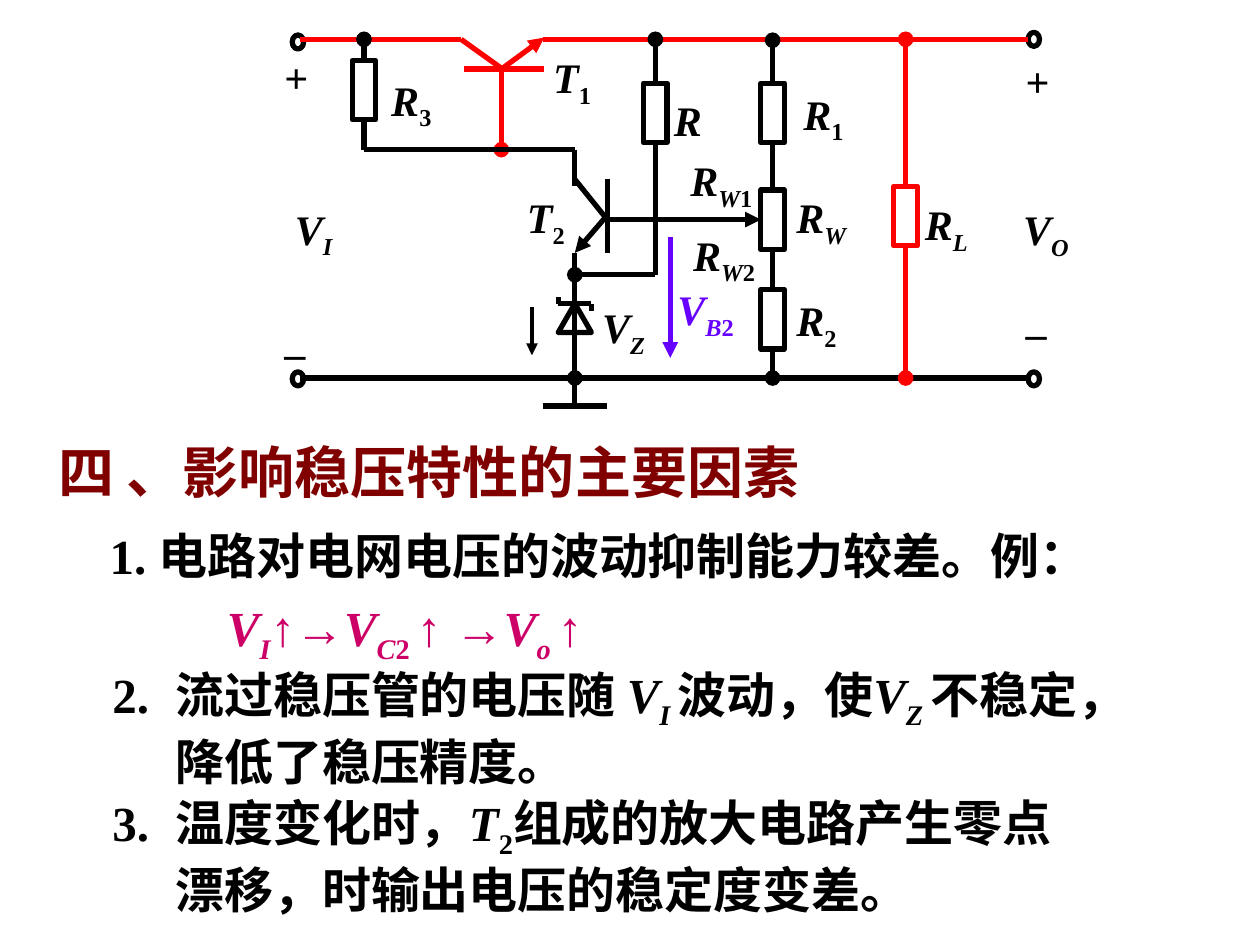
from lxml.etree import SubElement
from pptx import Presentation
from pptx.dml.color import RGBColor
from pptx.enum.shapes import MSO_CONNECTOR, MSO_SHAPE
from pptx.enum.text import MSO_ANCHOR, MSO_AUTO_SIZE, PP_ALIGN
from pptx.oxml.ns import qn
from pptx.util import Pt

BLACK = RGBColor(0x00, 0x00, 0x00)
RED = RGBColor(0xFF, 0x00, 0x00)
MAROON = RGBColor(0x80, 0x00, 0x00)
MAGENTA = RGBColor(0xCC, 0x00, 0x66)
VIOLET = RGBColor(0x66, 0x00, 0xFF)
SERIF, SANS = "Times New Roman", "Arial"

deck = Presentation()
deck.slide_width, deck.slide_height = Pt(720), Pt(540)
page = deck.slides.add_slide(deck.slide_layouts.get_by_name("Comparison"))
ports = {}  # middle of a resistor's side -> (resistor, connection site)


def add_span(para, text, size, font=SERIF, italic=False, sub=False, color=BLACK):
    span = para.add_run()
    span.text = text
    span.font.size, span.font.name = Pt(size), font
    span.font.bold, span.font.italic = True, italic
    span.font.color.rgb = color
    if sub:
        span._r.get_or_add_rPr().set("baseline", "-25000")


def add_wire(start, end, color=BLACK, head=None, tail=None, width=3):
    """Draw a straight wire, joined to a resistor wherever an end is one of its ports."""
    wire = page.shapes.add_connector(MSO_CONNECTOR.STRAIGHT, *map(Pt, start + end))
    if start in ports:
        wire.begin_connect(*ports[start])
    if end in ports:
        wire.end_connect(*ports[end])
    wire.line.color.rgb, wire.line.width = color, Pt(width)
    line = wire.line._get_or_add_ln()
    for tag, kind in (("a:headEnd", head), ("a:tailEnd", tail)):
        if kind:
            SubElement(line, qn(tag), type=kind)
    SubElement(wire._element.spPr, qn("a:effectLst"))


# Heading
title = page.shapes.title
title.left, title.top, title.width, title.height = Pt(26), Pt(246), Pt(664.5), Pt(46)
title.text_frame.auto_size = MSO_AUTO_SIZE.NONE
para = title.text_frame.paragraphs[0]
para.alignment = PP_ALIGN.LEFT
add_span(para, "四 、影响稳压特性的主要因素", 32, SANS, color=MAROON)

# Numbered factors: (placeholder, left, top, width, height, indent, line spacing, spans)
# Kinds of span: n number, t text, v variable, s italic subscript, d upright subscript
factors = [
    (1, 55.5, 290, 597.5, 93.5, 67, 1.2, [
        ("n", "1. "), ("t", "电路对电网电压的波动抑制能力较差。例："),
        ("v", "V", MAGENTA), ("s", "I", MAGENTA), ("t", "↑→", MAGENTA),
        ("v", "V", MAGENTA), ("s", "C", MAGENTA), ("d", "2 ", MAGENTA),
        ("t", "↑ →", MAGENTA), ("v", "V", MAGENTA), ("s", "o ", MAGENTA),
        ("t", "↑", MAGENTA)]),
    (2, 57, 376, 613.5, 79, 36, 1, [
        ("n", "2.\t"), ("t", "流过稳压管的电压随 "), ("v", "V"), ("s", "I "),
        ("t", "波动，使"), ("v", "V"), ("s", "Z "), ("t", "不稳定，降低了稳压精度。")]),
    (3, 57, 449.5, 578, 79, 36, 1, [
        ("n", "3.\t"), ("t", "温度变化时，"), ("v", "T"), ("d", "2"),
        ("t", "组成的放大电路产生零点漂移，时输出电压的稳定度变差。")]),
]
bodies = {body.placeholder_format.idx: body for body in page.placeholders}
for index, left, top, width, height, indent, spacing, spans in factors:
    body = bodies[index]
    body.left, body.top, body.width, body.height = map(Pt, (left, top, width, height))
    frame = body.text_frame
    frame.auto_size, frame.vertical_anchor = MSO_AUTO_SIZE.NONE, MSO_ANCHOR.TOP
    para = frame.paragraphs[0]
    para.line_spacing, para.space_before = spacing, Pt(0)
    layout = para._p.get_or_add_pPr()
    layout.set("marL", str(Pt(indent)))
    layout.set("indent", str(-Pt(indent)))
    SubElement(layout, qn("a:buNone"))
    for kind, text, *color in spans:
        add_span(para, text, 28, SANS if kind == "t" else SERIF, kind in "vs",
                 kind in "sd", *color)
for index, body in bodies.items():
    if index > 3:
        body._element.getparent().remove(body._element)

# Circuit grid
TOP, BOTTOM = 22.5, 216
X_R3, X_T1, X_T2, X_R, X_RW, X_RL = 208, 286.5, 328.5, 374.5, 441.5, 517.5
X_BASE, Y_BASE, Y_T1, Y_COLLECTOR = 347, 125.5, 39.5, 85.5
Y_EMITTER, Y_RETURN, Y_ZENER = 144.5, 157, 173.5
LEFT_END, RIGHT_END = 171.5, 587.5
RES_W, RES_H = 13.5, 34

outlines = [(MSO_SHAPE.ISOSCELES_TRIANGLE, X_T2 - 9.5, Y_ZENER, 19, 16.5, BLACK)]
for x, y in ((167, 20), (167, 212.5), (RIGHT_END, 18.5), (RIGHT_END, 212.5)):
    outlines.append((MSO_SHAPE.OVAL, x, y, 6.5, 8, BLACK))
for x, y, color in ((X_R3, 34.5, BLACK), (X_R, 47.5, BLACK), (X_RW, 47.5, BLACK),
                    (X_RW, 108.5, BLACK), (X_RW, 165.5, BLACK), (X_RL, 106.5, RED)):
    outlines.append((MSO_SHAPE.RECTANGLE, x - RES_W / 2, y, RES_W, RES_H, color))
for kind, left, top, width, height, color in outlines:
    part = page.shapes.add_shape(kind, Pt(left), Pt(top), Pt(width), Pt(height))
    part.shadow.inherit = False
    part.fill.background()
    part.line.color.rgb, part.line.width = color, Pt(3)
    if kind == MSO_SHAPE.RECTANGLE:
        ports[left + width / 2, top] = part, 0
        ports[left, top + height / 2] = part, 1
        ports[left + width / 2, top + height] = part, 2

# Rails and ground
add_wire((263.5, TOP), (LEFT_END, TOP), RED)
add_wire((310.5, TOP), (RIGHT_END, TOP), RED)
add_wire((LEFT_END, BOTTOM), (RIGHT_END, BOTTOM))
add_wire((X_T2, BOTTOM), (X_T2, 231), head="oval")
add_wire((310.5, 232), (X_BASE, 232))

# Transistor T1
add_wire((263.5, TOP), (X_T1, 39), RED)
add_wire((X_T1, Y_T1), (311, 21.5), RED, tail="triangle")
add_wire((265, Y_T1), (311, Y_T1), RED)
add_wire((X_T1, 39), (X_T1, Y_COLLECTOR), RED, tail="oval")

# Transistor T2
add_wire((X_T2, 102.5), (X_BASE, Y_BASE))
add_wire((X_BASE, 123), (X_T2, Y_EMITTER), tail="triangle")
add_wire((X_BASE, 102.5), (X_BASE, Y_EMITTER))
add_wire((X_BASE, Y_BASE), (X_RW - RES_W / 2, Y_BASE), tail="triangle")

# Resistor branches
add_wire((X_R3, TOP), (X_R3, 34.5), head="oval")
add_wire((X_R3, 68.5), (X_R3, Y_COLLECTOR))
add_wire((X_R3, Y_COLLECTOR), (X_T2, Y_COLLECTOR))
add_wire((X_T2, Y_COLLECTOR), (X_T2, 106.5))
add_wire((X_R, TOP), (X_R, 47.5), head="oval")
add_wire((X_R, Y_RETURN), (X_R, 81.5))
add_wire((X_T2, Y_RETURN), (X_R, Y_RETURN), head="oval")
add_wire((X_RW, 23), (X_RW, 47.5), head="oval")
add_wire((X_RW, 81.5), (X_RW, 108.5))
add_wire((X_RW, 142.5), (X_RW, 165.5))
add_wire((X_RW, 199.5), (X_RW, BOTTOM), tail="oval")
add_wire((X_RL, TOP), (X_RL, 106.5), RED, head="oval")
add_wire((X_RL, 140.5), (X_RL, BOTTOM), RED, tail="oval")

# Zener diode and voltage arrows
add_wire((X_T2, Y_EMITTER), (X_T2, BOTTOM))
add_wire((X_T2 - 9.5, Y_ZENER), (X_T2 + 9.5, Y_ZENER))
add_wire((X_T2 - 9.5, Y_ZENER), (X_T2 - 9.5, 170))
add_wire((X_T2 + 9.5, Y_ZENER), (X_T2 + 9.5, 178))
add_wire((304, 175.5), (304, 203), tail="triangle", width=2.25)
add_wire((383, 135.5), (383, 204.5), VIOLET, tail="triangle")

# Labels: left, top, width, symbol, italic subscript, upright subscript
labels = [
    (216.5, 39, 47.5, "R", "", "3"), (309, 26, 49.5, "T", "", "1"),
    (294, 106, 39, "T", "", "2"), (337, 169, 50.5, "V", "Z", ""),
    (378, 50.5, 44, "R", "", ""), (387.5, 85, 67, "R", "W", "1"),
    (389, 127.5, 73.5, "R", "W", "2"), (452, 47, 59, "R", "", "1"),
    (448, 106, 59, "R", "W", ""), (448, 165, 44.5, "R", "", "2"),
    (521.5, 110, 55.5, "R", "L", ""), (577.5, 113, 67.5, "V", "O", ""),
    (161.5, 112.5, 50.5, "V", "I", ""), (380, 158.5, 55.5, "V", "B", "2"),
    (155.5, 26, 20, "+", "", ""), (155.5, 175, 20, "_", "", ""),
    (579, 28, 20, "+", "", ""), (579, 163.5, 20, "_", "", ""),
]
for left, top, width, symbol, italic_sub, upright_sub in labels:
    box = page.shapes.add_textbox(Pt(left), Pt(top), Pt(width), Pt(40))
    box.text_frame.word_wrap = True
    para = box.text_frame.paragraphs[0]
    color = VIOLET if italic_sub == "B" else BLACK
    add_span(para, symbol, 24, italic=symbol.isalpha(), color=color)
    if italic_sub:
        add_span(para, italic_sub, 24, italic=True, sub=True, color=color)
    if upright_sub:
        add_span(para, upright_sub, 24, sub=True, color=color)

deck.save("out.pptx")
